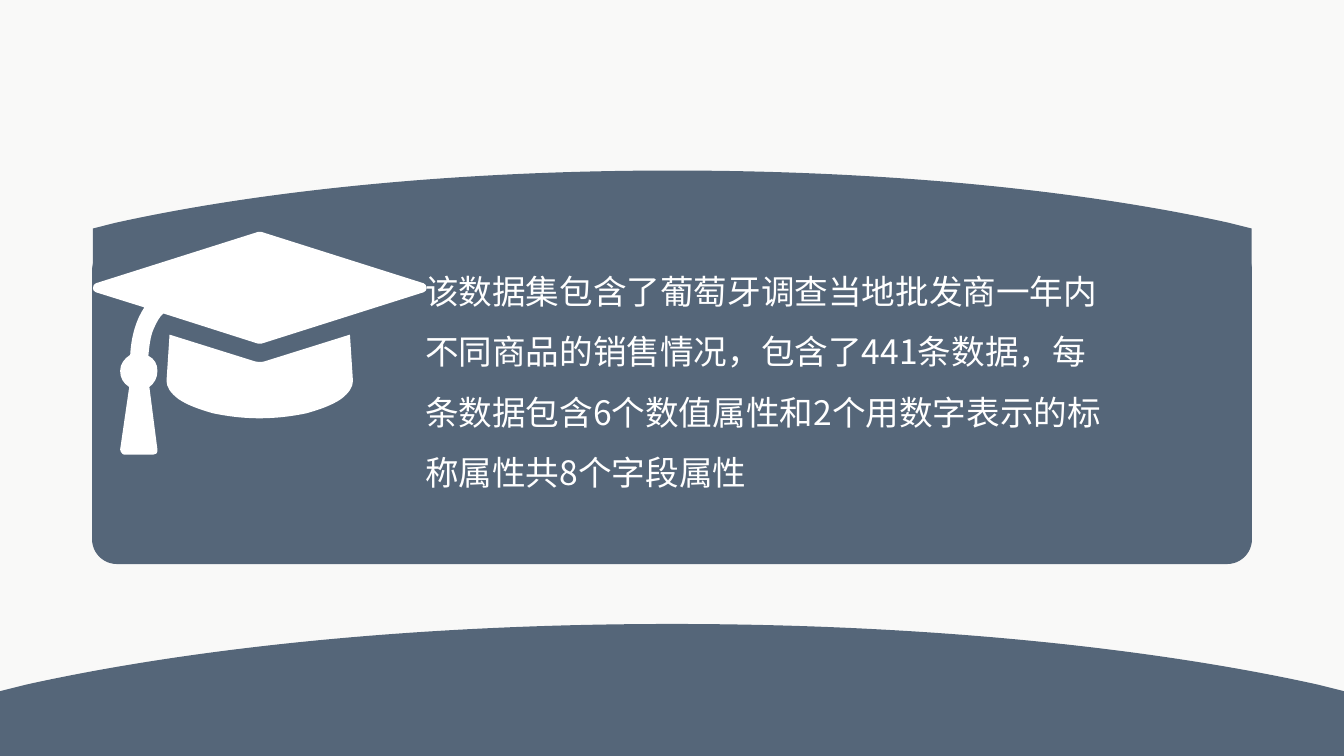
from lxml import etree
from pptx import Presentation
from pptx.dml.color import RGBColor
from pptx.enum.shapes import MSO_SHAPE
from pptx.oxml.ns import qn
from pptx.util import Pt

ROUNDED = MSO_SHAPE.ROUNDED_RECTANGLE
COLORS = {"paper": "F9F9F8", "slate": "556679", "white": "FFFFFF"}
PAGE_WIDTH, PAGE_HEIGHT = 960, 540

DESCRIPTION = (
    "该数据集包含了葡萄牙调查当地批发商一年内不同商品的销售情况，包含了441条数据，"
    "每条数据包含6个数值属性和2个用数字表示的标称属性共8个字段属性"
)
TEXT_FORMAT = {"name": "Noto Sans CJK JP", "size": Pt(24)}

PANEL = (66.3, 175.7, 827.5, 226.7)
TEXT_AREA = (296.6, 175.5, 507.6, 174.2)
PANEL_DOME = (66.4, 827.6, 121.8, 195.8)
FLOOR_DOME = (0, PAGE_WIDTH, 445.7, PAGE_HEIGHT)
DOME_HALF = [(0, 0.05), (0.02, 0.045), (0.147, 0.017), (0.315, 0), (0.5, 0)]

CAP_ORIGIN = (66.4, 165.6)
CAP_UNIT = 0.72
BOARD_AND_TASSEL = [
    (331, 56), (331, 58, 330, 59, 328, 60), (167, 111),
    (167, 111, 166, 111, 165, 111), (165, 111, 164, 111, 164, 111), (70, 81),
    (66, 84, 63, 90, 60, 97), (57, 104, 56, 113, 55, 123),
    (61, 126, 64, 131, 64, 138), (64, 145, 61, 150, 56, 154),
    (64, 216), (64, 217, 64, 219, 63, 220), (62, 221, 61, 221, 60, 221),
    (32, 221), (31, 221, 29, 221, 29, 220), (28, 219, 27, 217, 27, 216),
    (36, 154), (30, 150, 27, 145, 27, 138), (27, 131, 31, 126, 37, 122),
    (38, 103, 43, 87, 51, 75), (3, 60), (1, 59, 0, 58, 0, 56),
    (0, 53, 1, 52, 3, 51), (164, 0), (164, 0, 165, 0, 166, 0),
    (166, 0, 167, 0, 167, 0), (328, 51), (330, 52, 331, 53, 331, 56),
]
CAP_BASE = [
    (255, 102), (258, 148), (258, 154, 254, 160, 246, 166),
    (237, 172, 226, 176, 212, 180), (198, 183, 182, 185, 165, 185),
    (149, 185, 133, 183, 119, 180), (105, 176, 94, 172, 85, 166),
    (77, 160, 73, 154, 73, 148), (76, 102), (159, 128),
    (161, 129, 163, 129, 166, 129), (168, 129, 170, 129, 172, 128),
    (255, 102),
]


def color(name):
    return RGBColor.from_string(COLORS[name])


def paint(shape, name):
    shape.shadow.inherit = False
    shape.fill.solid()
    shape.fill.fore_color.rgb = color(name)
    shape.line.fill.background()


def bend(shape, steps):
    lines = list(shape.element.iter(qn("a:lnTo")))
    for line, step in zip(lines, steps):
        if len(step) == 2:
            continue
        line.tag = qn("a:cubicBezTo")
        for child in list(line):
            line.remove(child)
        for x, y in zip(step[::2], step[1::2]):
            point = etree.SubElement(line, qn("a:pt"))
            point.set("x", str(Pt(x) - shape.left))
            point.set("y", str(Pt(y) - shape.top))


def add_outline(page, contours, name):
    ends = [[tuple(map(Pt, step[-2:])) for step in steps] for steps in contours]
    builder = page.shapes.build_freeform(*ends[0][0], scale=1.0)
    for index, (start, *rest) in enumerate(ends):
        if index:
            builder.move_to(*start)
        builder.add_line_segments(rest, close=True)
    shape = builder.convert_to_shape()
    bend(shape, [step for steps in contours for step in steps[1:]])
    paint(shape, name)


def add_dome(page, left, width, top, bottom):
    rising = [(left + x * width, top + y * width) for x, y in DOME_HALF]
    falling = [(2 * left + width - x, y) for x, y in reversed(rising)]
    edge, shoulder, *rise = rising
    crest, *fall, corner = falling
    steps = [(left, bottom), edge, shoulder, sum(rise, ()), sum(fall, ()),
             corner, (left + width, bottom)]
    add_outline(page, [steps], "slate")


def add_panel(page):
    panel = page.shapes.add_shape(ROUNDED, *map(Pt, PANEL))
    panel.adjustments[0] = 0.076
    paint(panel, "slate")
    panel.line.color.rgb = color("slate")
    panel.line.width = Pt(1)


def add_description(page):
    box = page.shapes.add_textbox(*map(Pt, TEXT_AREA))
    box.text_frame.word_wrap = True
    para = box.text_frame.paragraphs[0]
    para.line_spacing = 1.5
    span = para.add_run()
    span.text = DESCRIPTION
    for key, value in TEXT_FORMAT.items():
        setattr(span.font, key, value)
    span.font.color.rgb = color("white")


def add_cap(page):
    contours = [
        [
            tuple(CAP_ORIGIN[i % 2] + value * CAP_UNIT for i, value in enumerate(step))
            for step in steps
        ]
        for steps in (BOARD_AND_TASSEL, CAP_BASE)
    ]
    add_outline(page, contours, "white")


def main():
    deck = Presentation()
    deck.slide_width, deck.slide_height = Pt(PAGE_WIDTH), Pt(PAGE_HEIGHT)
    page = deck.slides.add_slide(deck.slide_layouts[6])
    page.background.fill.solid()
    page.background.fill.fore_color.rgb = color("paper")
    add_dome(page, *PANEL_DOME)
    add_panel(page)
    add_description(page)
    add_cap(page)
    add_dome(page, *FLOOR_DOME)
    deck.save("out.pptx")


if __name__ == "__main__":
    main()
